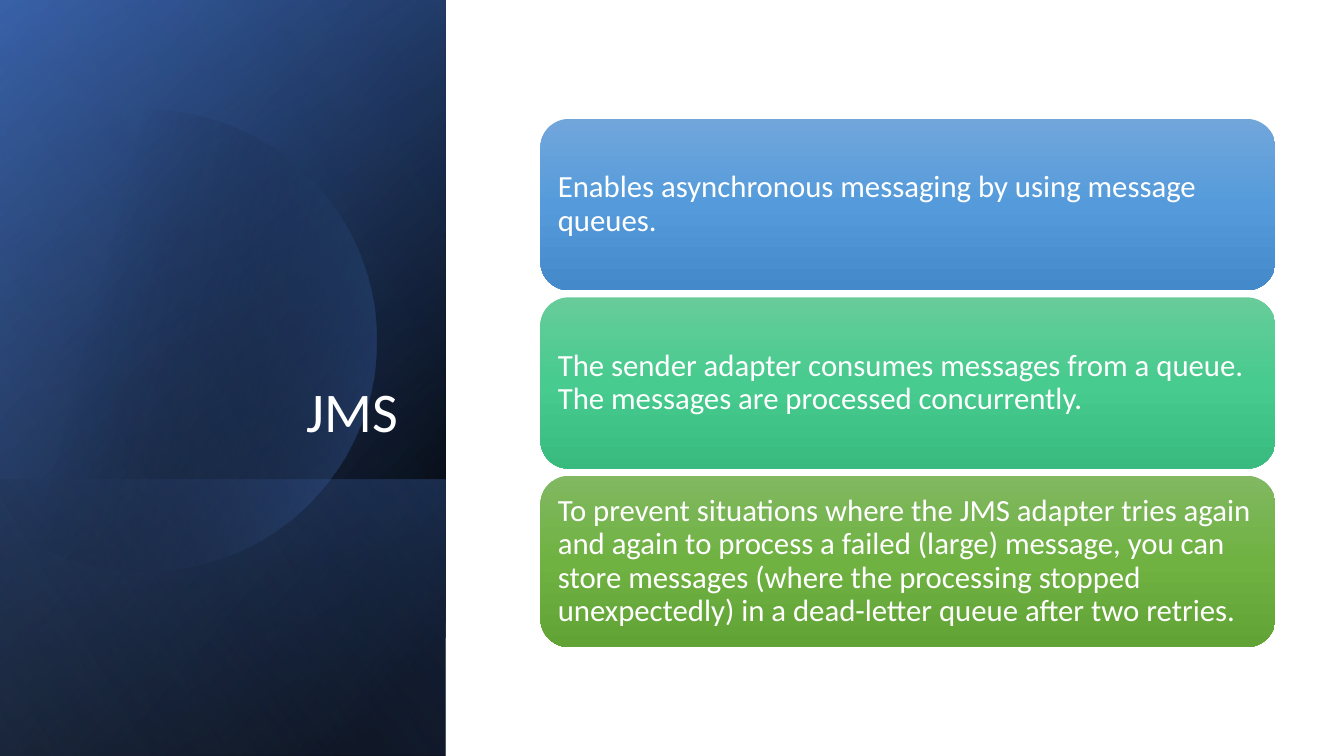
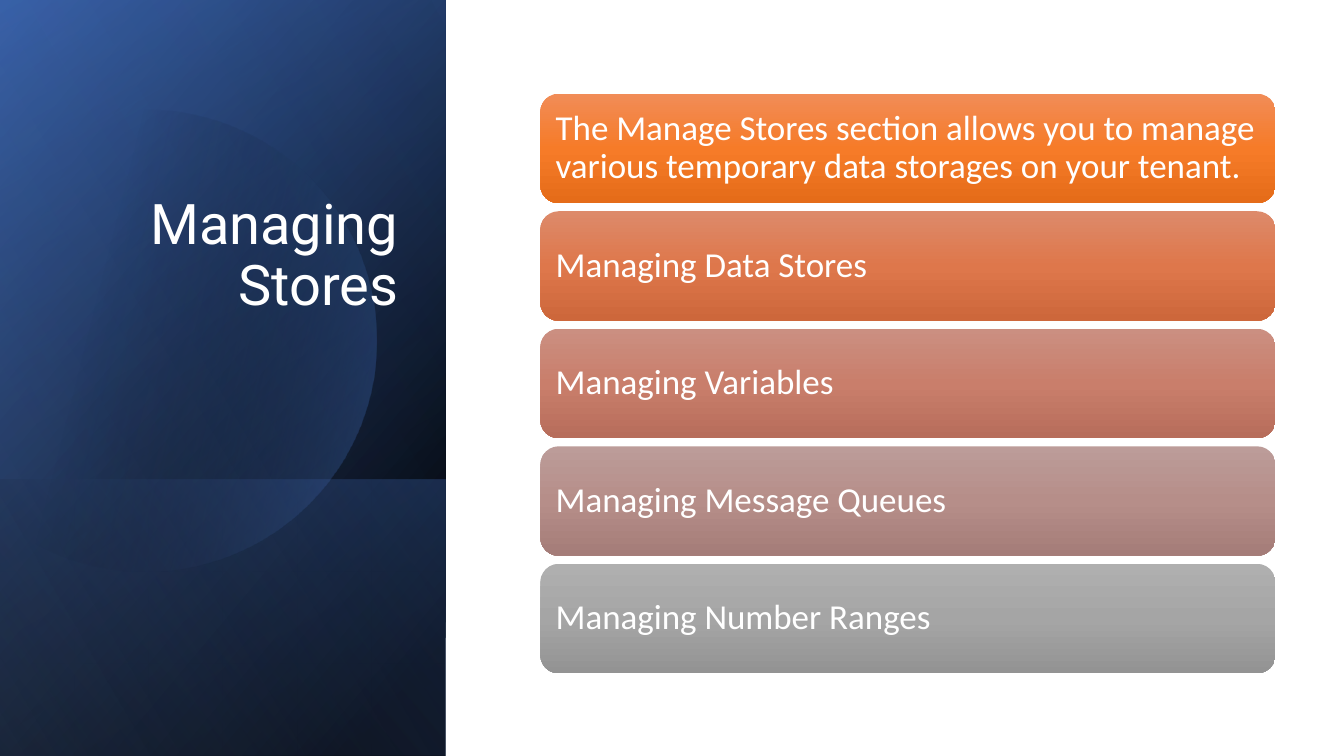
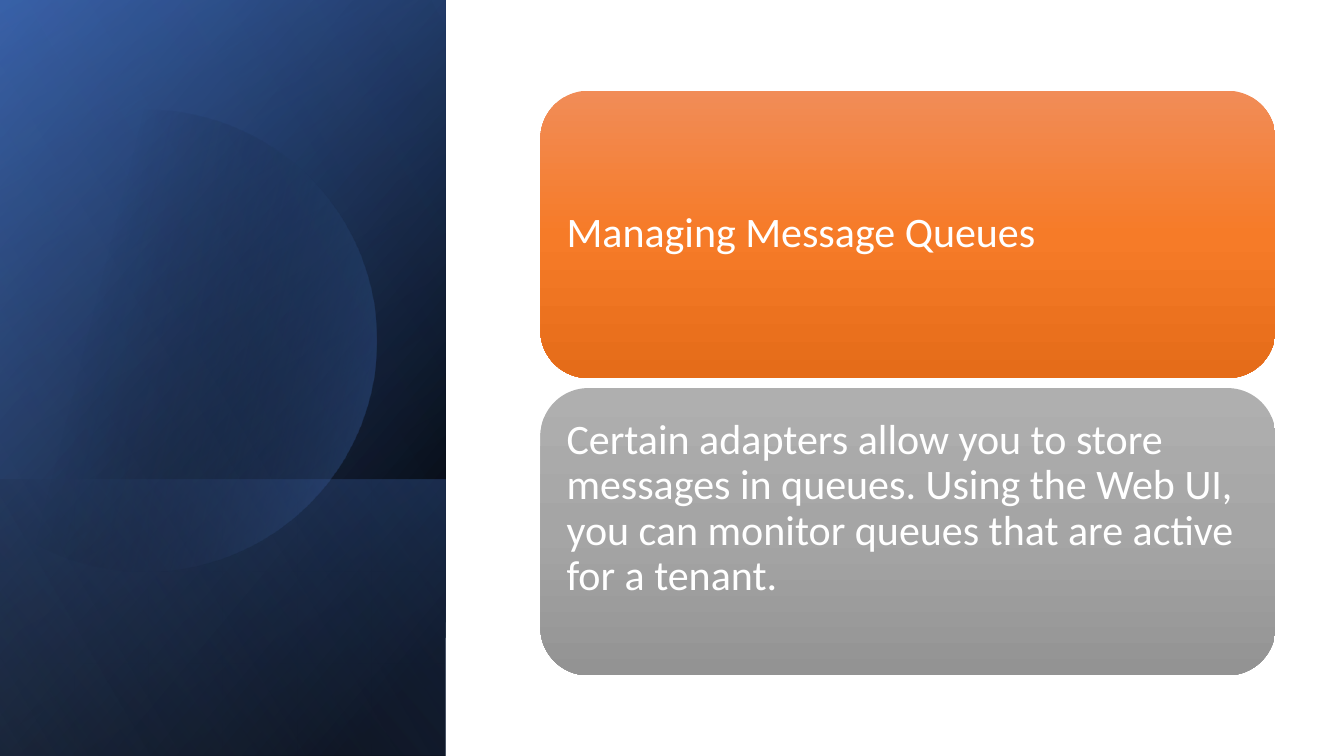
from math import acos, cos, pi, sin

from lxml.etree import SubElement
from pptx import Presentation
from pptx.dml.color import RGBColor
from pptx.enum.shapes import MSO_SHAPE
from pptx.enum.text import MSO_ANCHOR, MSO_AUTO_SIZE, PP_ALIGN
from pptx.oxml.ns import qn
from pptx.util import Inches, Pt

COLORS = {
    "white": "FFFFFF",
    "black": "000000",
    "navy": "2F5597",
    "blue": "4472C4",
    "light blue": "8FAADC",
}

# Each card gradient runs from top to bottom.
CARD_COLORS = {
    "sky": ("71A6DB", "559BDB", "448ACA"),
    "mint": ("67CC9A", "47CB8E", "39BB7F"),
    "leaf": ("81B861", "6FB242", "62A336"),
    "orange": ("F18C57", "F67B28", "E56C19"),
    "rust": ("DD8A6A", "DE774B", "CD673B"),
    "clay": ("CB8F81", "C97E6B", "B76D5B"),
    "mauve": ("BC9C99", "B68E89", "A47C78"),
    "gray": ("AFAFAF", "A5A5A5", "939393"),
}

SLIDE_WIDTH, SLIDE_HEIGHT = 13.33, 7.5
PANEL_WIDTH = 4.42
TITLE_LEFT, TITLE_TOP, TITLE_WIDTH = 0.64, 1.84, 3.41
CARD_LEFT, CARD_WIDTH = 5.36, 7.29
BODY_FONT = "Calibri"


def fill_gradient(shape, stops, angle):
    """Fill with (percent, hex color, opacity percent) stops, without an outline."""
    shape.shadow.inherit = False
    shape.line.fill.background()
    shape.fill.gradient()
    gradient = shape._element.spPr.find(qn("a:gradFill"))
    stop_list = gradient.find(qn("a:gsLst"))
    for default_stop in list(stop_list):
        stop_list.remove(default_stop)
    for position, color, opacity in stops:
        stop = SubElement(stop_list, qn("a:gs"), pos=str(position * 1000))
        color_element = SubElement(stop, qn("a:srgbClr"), val=color)
        if opacity < 100:
            SubElement(color_element, qn("a:alpha"), val=str(opacity * 1000))
    gradient.find(qn("a:lin")).set("ang", str(angle * 60000))


def add_panel_layer(slide, top, height, stops, angle):
    """Add a mirrored rectangle, turned a quarter, that covers the panel's width."""
    left = (PANEL_WIDTH - height) / 2
    layer = slide.shapes.add_shape(
        MSO_SHAPE.RECTANGLE,
        Inches(left), Inches(top - left), Inches(height), Inches(PANEL_WIDTH),
    )
    layer.rotation = 90
    layer._element.spPr.find(qn("a:xfrm")).set("flipH", "1")
    fill_gradient(layer, stops, angle)


def add_panel_circle(slide, center_x, center_y, radius, segments=120):
    """Add a circle cut off by the slide's left edge."""
    cut = acos(-center_x / radius)
    angles = [-cut + 2 * cut * step / segments for step in range(segments + 1)]
    points = [
        (Inches(center_x + radius * cos(angle)), Inches(center_y + radius * sin(angle)))
        for angle in angles
    ]
    builder = slide.shapes.build_freeform(*points[0])
    builder.add_line_segments(points[1:], close=True)
    circle = builder.convert_to_shape()
    fill_gradient(circle, [(29, COLORS["black"], 0), (100, COLORS["blue"], 43)], 14)


def add_panel(slide):
    black, blue = COLORS["black"], COLORS["blue"]
    add_panel_layer(slide, 0, SLIDE_HEIGHT,
                    [(8, black, 100), (100, COLORS["navy"], 100)], 50)
    add_panel_layer(slide, 0, SLIDE_HEIGHT, [(0, black, 0), (99, blue, 46)], 30)
    add_panel_layer(slide, 4.76, SLIDE_HEIGHT - 4.76,
                    [(2, blue, 29), (100, black, 30)], 130)
    add_panel_circle(slide, 1.44, 3.38, 2.29)
    add_panel_layer(slide, 0, SLIDE_HEIGHT,
                    [(0, black, 0), (99, COLORS["light blue"], 11)], 120)


def write_text(paragraph, text, size, font_name, alignment):
    paragraph.alignment = alignment
    paragraph.line_spacing = 0.9
    run = paragraph.add_run()
    run.text = text
    run.font.size = Pt(size)
    run.font.name = font_name
    run.font.color.rgb = RGBColor.from_string(COLORS["white"])


def place_title(slide, text, font_name, bottom):
    title = slide.shapes.title
    title.left, title.top = Inches(TITLE_LEFT), Inches(TITLE_TOP)
    title.width, title.height = Inches(TITLE_WIDTH), Inches(bottom - TITLE_TOP)
    frame = title.text_frame
    frame.word_wrap = True
    frame.auto_size = MSO_AUTO_SIZE.NONE
    frame.vertical_anchor = MSO_ANCHOR.BOTTOM
    write_text(frame.paragraphs[0], text, 40, font_name, PP_ALIGN.RIGHT)
    slide.shapes._spTree.append(title._element)  # in front of the panel


def add_card(slide, top, height, text, color_name, size, inset, extra_bottom):
    card = slide.shapes.add_shape(
        MSO_SHAPE.ROUNDED_RECTANGLE,
        Inches(CARD_LEFT), Inches(top), Inches(CARD_WIDTH), Inches(height),
    )
    stops = [(position, color, 100)
             for position, color in zip((0, 50, 100), CARD_COLORS[color_name])]
    fill_gradient(card, stops, 90)
    frame = card.text_frame
    frame.word_wrap = True
    frame.vertical_anchor = MSO_ANCHOR.MIDDLE
    frame.margin_left = frame.margin_right = frame.margin_top = Inches(inset)
    frame.margin_bottom = Inches(inset + extra_bottom)
    write_text(frame.paragraphs[0], text, size, BODY_FONT, PP_ALIGN.LEFT)


def add_card_stack(slide, cards, top, bottom, gap, size, inset, last_extra_bottom=0):
    """Share the height from top to bottom equally among the cards."""
    height = (bottom - top - gap * (len(cards) - 1)) / len(cards)
    for index, (text, color_name) in enumerate(cards):
        is_last = index == len(cards) - 1
        add_card(slide, top + index * (height + gap), height, text, color_name,
                 size, inset, last_extra_bottom if is_last else 0)


def add_panel_slide(presentation, title=None):
    """Add a slide with the panel; title is a (text, font, bottom) tuple."""
    layout = presentation.slide_layouts.get_by_name("Title Only" if title else "Blank")
    slide = presentation.slides.add_slide(layout)
    add_panel(slide)
    if title:
        place_title(slide, *title)
    return slide


def main():
    presentation = Presentation()
    presentation.slide_width = Inches(SLIDE_WIDTH)
    presentation.slide_height = Inches(SLIDE_HEIGHT)

    jms_slide = add_panel_slide(presentation, ("JMS", BODY_FONT, 4.46))
    add_card_stack(jms_slide, [
        ("Enables asynchronous messaging by using message queues.", "sky"),
        ("The sender adapter consumes messages from a queue. "
         "The messages are processed concurrently.", "mint"),
        ("To prevent situations where the JMS adapter tries again and again to process "
         "a failed (large) message, you can store messages (where the processing stopped "
         "unexpectedly) in a dead-letter queue after two retries.", "leaf"),
    ], top=1.18, bottom=6.42, gap=0.07, size=22, inset=0.09)

    stores_slide = add_panel_slide(presentation, ("Managing Stores", "Roboto", 3.2))
    add_card_stack(stores_slide, [
        ("The Manage Stores section allows you to manage various temporary data "
         "storages on your tenant.", "orange"),
        ("Managing Data Stores", "rust"),
        ("Managing Variables", "clay"),
        ("Managing Message Queues", "mauve"),
        ("Managing Number Ranges", "gray"),
    ], top=0.93, bottom=6.68, gap=0.08, size=25, inset=0.1)

    queues_slide = add_panel_slide(presentation)
    add_card_stack(queues_slide, [
        ("Managing Message Queues", "orange"),
        ("Certain adapters allow you to store messages in queues. Using the Web UI, "
         "you can monitor queues that are active for a tenant.", "gray"),
    ], top=0.9, bottom=6.7, gap=0.1, size=30, inset=0.12, last_extra_bottom=0.45)

    presentation.save("out.pptx")


if __name__ == "__main__":
    main()
